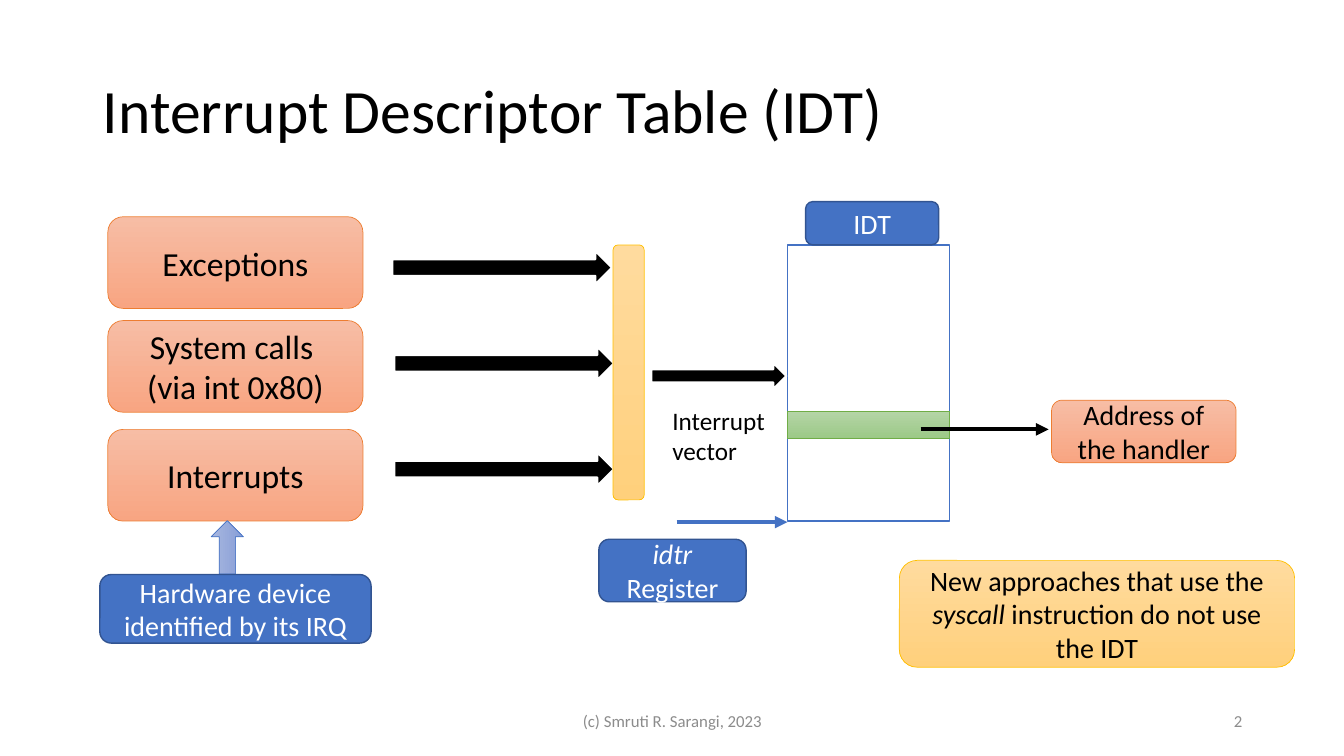
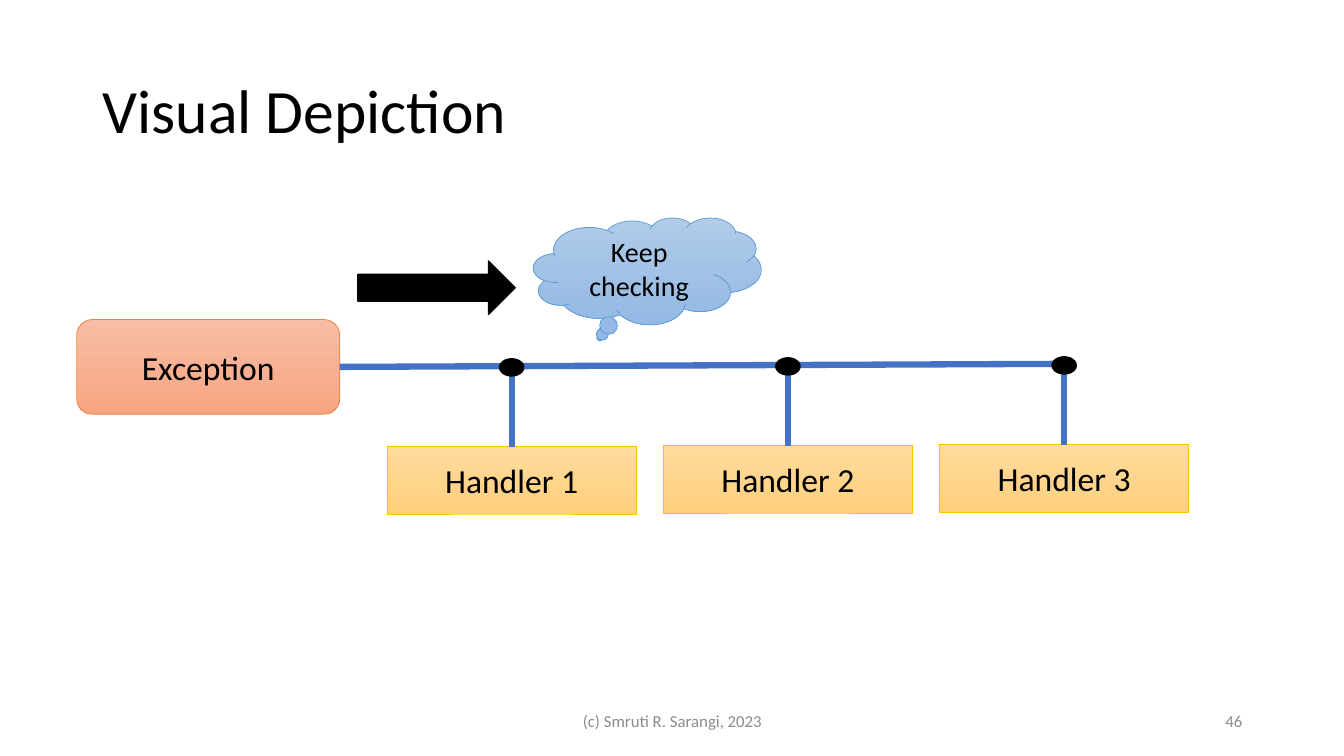
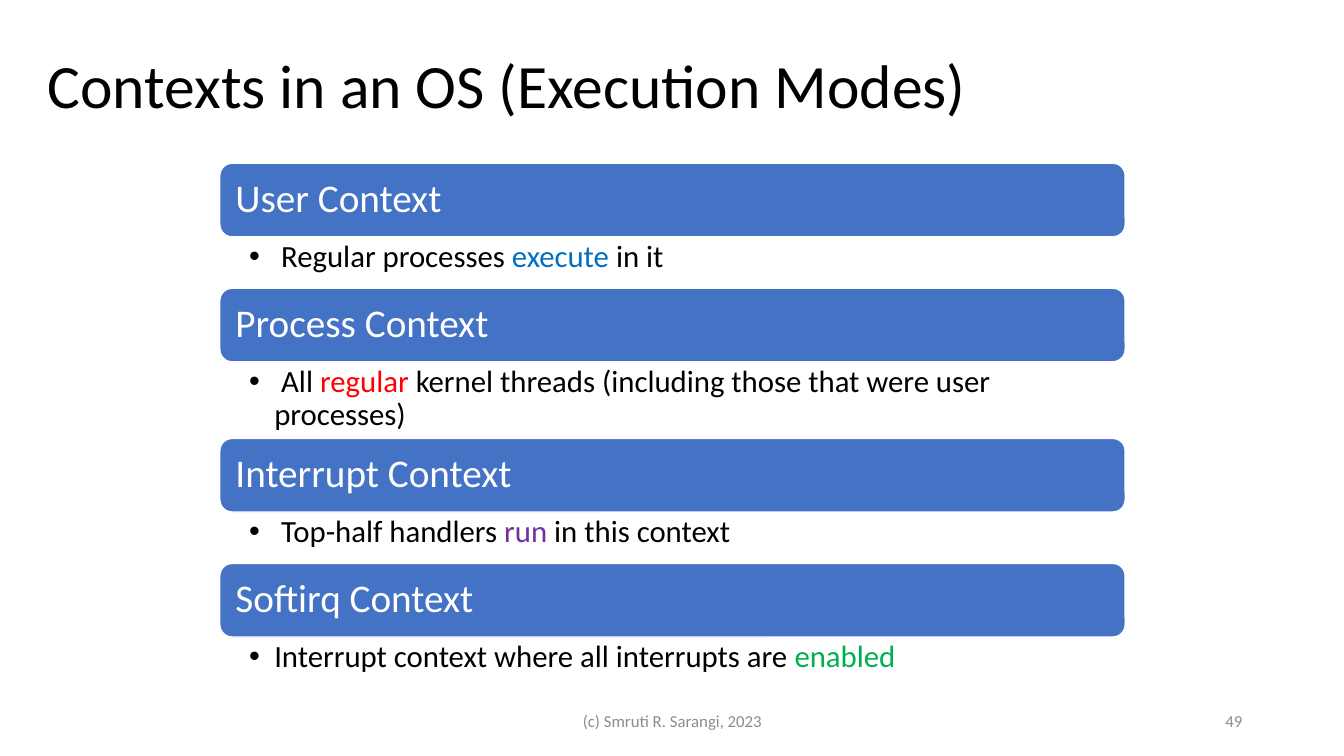
from lxml import etree
from pptx import Presentation
from pptx.dml.color import RGBColor
from pptx.enum.shapes import MSO_CONNECTOR, MSO_SHAPE
from pptx.enum.text import MSO_ANCHOR, MSO_AUTO_SIZE, PP_ALIGN
from pptx.oxml.ns import qn
from pptx.util import Inches, Pt

FONT = "Calibri"
BLACK, WHITE, GREY, BLUE = "000000", "FFFFFF", "8C8C8C", "4472C4"
LEFT, CENTER, RIGHT = PP_ALIGN.LEFT, PP_ALIGN.CENTER, PP_ALIGN.RIGHT
TOP, MIDDLE = MSO_ANCHOR.TOP, MSO_ANCHOR.MIDDLE
RECTANGLE, ROUNDED = MSO_SHAPE.RECTANGLE, MSO_SHAPE.ROUNDED_RECTANGLE
ARROW, OVAL, CLOUD = MSO_SHAPE.RIGHT_ARROW, MSO_SHAPE.OVAL, MSO_SHAPE.CLOUD_CALLOUT
STRAIGHT, NO_FIT = MSO_CONNECTOR.STRAIGHT, MSO_AUTO_SIZE.NONE
TITLE_ONLY = 5

SOLID_BLUE = ((BLUE,), "325491", 1)
ORANGE = (("F7BDA5", "F8A582"), "ED7D31", 0.5)
GOLD = (("FFDB9E", "FFD07C"), "FFC000", 0.5)
GREEN = (("B5D5A7", "9CC987"), "70AD47", 0.5)
PERIWINKLE = (("A8B7DF", "889ED7"), BLUE, 0.5)
SKY = (("B1CBE9", "93B9E4"), "5B9BD5", 0.5)
FRAME = ((WHITE,), BLUE, 1)
BAND = ((BLUE,), WHITE, 1)
BLACK_OUTLINED = ((BLACK,), WHITE, 1.5)
SOLID_BLACK = ((BLACK,), BLACK, 1)


def rgb(value):
    """Turn a hex string into a colour."""
    return RGBColor.from_string(value)


def write(frame, paragraphs, size, color=BLACK, align=CENTER, spacing=None):
    """Write paragraphs, each a list of (text, colour or None, italic) spans."""
    for index, spans in enumerate(paragraphs):
        para = frame.add_paragraph() if index else frame.paragraphs[0]
        para.alignment = align
        if spacing:
            para.line_spacing = spacing
        for text, own_color, italic in spans:
            run = para.add_run()
            run.text = text
            run.font.name = FONT
            run.font.size = Pt(size)
            run.font.italic = italic
            run.font.color.rgb = rgb(own_color or color)


def plain(*lines):
    """Make one single-span paragraph of each line."""
    return [[(line, None, False)] for line in lines]


def add_block(page, kind, box, style, paragraphs=(), size=24, color=BLACK):
    """Add a filled and outlined shape with centred text."""
    fills, outline, width = style
    shape = page.shapes.add_shape(kind, *map(Inches, box))
    shape.shadow.inherit = False
    if len(fills) == 1:
        shape.fill.solid()
        shape.fill.fore_color.rgb = rgb(fills[0])
    else:
        shape.fill.gradient()
        shape.fill.gradient_angle = 270
        for stop, value in zip(shape.fill.gradient_stops, fills):
            stop.color.rgb = rgb(value)
    shape.line.color.rgb = rgb(outline)
    shape.line.width = Pt(width)
    write(shape.text_frame, paragraphs, size, color)
    return shape


def add_label(page, box, paragraphs, size, color=BLACK, align=LEFT,
              anchor=TOP, wrap=True, spacing=None):
    """Add a text box."""
    frame = page.shapes.add_textbox(*map(Inches, box)).text_frame
    frame.word_wrap = wrap
    frame.vertical_anchor = anchor
    write(frame, paragraphs, size, color, align, spacing)
    return frame


def add_line(page, start, end, color, width, arrow=False):
    """Add a straight line, with an arrowhead at its end if asked."""
    line = page.shapes.add_connector(STRAIGHT, *map(Inches, start + end))
    line.line.color.rgb = rgb(color)
    line.line.width = Pt(width)
    properties = line.element.spPr
    if arrow:
        head = etree.SubElement(properties.find(qn("a:ln")), qn("a:tailEnd"))
        head.set("type", "triangle")
    etree.SubElement(properties, qn("a:effectLst"))


def add_page(deck, title, number, left=0.92, top=0.4):
    """Add a slide with its title, footer and number."""
    page = deck.slides.add_slide(deck.slide_layouts[TITLE_ONLY])
    holder = page.shapes.title
    holder.left, holder.top = Inches(left), Inches(top)
    holder.width, holder.height = Inches(11.5), Inches(1.45)
    holder.text_frame.auto_size = NO_FIT
    holder.text_frame.vertical_anchor = MIDDLE
    write(holder.text_frame, plain(title), 44, align=LEFT, spacing=0.9)
    add_label(page, (4.42, 6.95, 4.5, 0.4), plain("(c) Smruti R. Sarangi, 2023"),
              12, GREY, CENTER, MIDDLE)
    add_label(page, (9.42, 6.95, 3, 0.4), plain(str(number)), 12, GREY, RIGHT, MIDDLE)
    return page


def add_sources(page, left, top):
    """Place the three interrupt sources, their arrows and the device."""
    sources = [
        (0, 2.82, 0.34, ["Exceptions"]),
        (1.03, 2.84, 1.29, ["System calls ", "(via int 0x80)"]),
        (2.11, 2.84, 2.34, ["Interrupts"]),
    ]
    for offset, arrow_left, arrow_top, lines in sources:
        add_block(page, ROUNDED, (left, top + offset, 2.53, 0.91), ORANGE, plain(*lines))
        add_block(page, ARROW, (left + arrow_left, top + arrow_top, 2.18, 0.33),
                  BLACK_OUTLINED)
    rising = add_block(page, ARROW, (left + 0.92, top + 3.12, 0.53, 0.32), PERIWINKLE)
    rising.rotation = 270
    add_block(page, ROUNDED, (left - 0.08, top + 3.55, 2.69, 0.68), SOLID_BLUE,
              plain("Hardware device identified by its IRQ"), 20, WHITE)


def add_vector(page, left, top):
    """Place the collecting bar, the vector arrow and its label."""
    add_block(page, ROUNDED, (left, top, 0.31, 2.53), GOLD)
    add_block(page, ARROW, (left + 0.38, top + 1.17, 1.34, 0.26), BLACK_OUTLINED)
    add_label(page, (left + 0.49, top + 1.54, 1.13, 0.71),
              plain("Interrupt", "vector"), 18, wrap=False)


def add_descriptor_table(page, left, top):
    """Place the table, its entry, the handler address and the register."""
    width, height = 1.61, 2.74
    add_block(page, RECTANGLE, (left, top, width, height), FRAME)
    add_block(page, ROUNDED, (left + 0.18, top - 0.43, 1.32, 0.43), SOLID_BLUE,
              plain("IDT"), 20, WHITE)
    add_block(page, RECTANGLE, (left, top + 1.65, width, 0.27), GREEN)
    add_line(page, (left + 1.32, top + 1.83), (left + 2.59, top + 1.83), BLACK, 3, True)
    add_block(page, ROUNDED, (left + 2.62, top + 1.54, 1.83, 0.62), ORANGE,
              plain("Address of the handler"), 20)
    add_line(page, (left - 1.1, top + height + 0.01), (left, top + height + 0.01),
             BLUE, 3, True)
    add_block(page, ROUNDED, (left - 1.87, top + 2.92, 1.46, 0.62), SOLID_BLUE,
              [[("idtr", None, True), (" Register", None, False)]], 20, WHITE)


def build_table_page(deck):
    """Build the interrupt descriptor table slide."""
    page = add_page(deck, "Interrupt Descriptor Table (IDT)", 2)
    add_descriptor_table(page, 7.81, 2.43)
    add_sources(page, 1.07, 2.15)
    add_vector(page, 6.08, 2.43)
    add_block(page, ROUNDED, (8.92, 5.56, 3.92, 1.06), GOLD,
              [[("New approaches that use the ", None, False), ("syscall", None, True),
                (" instruction do not use the IDT", None, False)]], 20)


def add_handler(page, left, top, number):
    """Place one handler box with its stem and node."""
    width = 2.47
    middle = left + width / 2
    add_block(page, RECTANGLE, (left, top, width, 0.67), GOLD, plain(f"Handler {number}"))
    add_line(page, (middle, top - 0.76), (middle, top), BLUE, 4.5)
    add_block(page, OVAL, (middle - 0.12, top - 0.87, 0.24, 0.17), SOLID_BLACK)


def build_chain_page(deck):
    """Build the slide with the chain of handlers."""
    page = add_page(deck, "Visual Depiction", 46)
    add_block(page, ROUNDED, (0.76, 3.17, 2.61, 0.94), ORANGE, plain("Exception"))
    add_line(page, (3.37, 3.64), (10.49, 3.61), BLUE, 4.5)
    for index in range(3):
        add_handler(page, 3.84 + 2.74 * index, 4.43 - 0.01 * index, index + 1)
    add_block(page, ARROW, (3.55, 2.59, 1.56, 0.53), SOLID_BLACK)
    add_block(page, CLOUD, (5.29, 2.16, 2.26, 1.06), SKY, plain("Keep checking"), 20)


def add_context(page, box, heading, spans):
    """Place a heading band with a bulleted line below it."""
    left, top, width, height = box
    band_height = 0.73
    band = add_block(page, ROUNDED, (left, top, width, band_height), BAND,
                     plain(heading), 28, WHITE)
    band.text_frame.margin_left = Inches(0.12)
    band.text_frame.paragraphs[0].alignment = LEFT
    band.text_frame.paragraphs[0].line_spacing = 0.9
    frame = add_label(page, (left, top + band_height, width, height - band_height),
                      [spans], 22, spacing=0.9)
    frame.margin_left, frame.margin_right = Inches(0.29), Inches(0.22)
    frame.margin_top = frame.margin_bottom = Inches(0.04)
    properties = frame.paragraphs[0]._p.get_or_add_pPr()
    properties.set("marL", str(Inches(0.25)))
    properties.set("indent", str(Inches(-0.25)))
    etree.SubElement(properties, qn("a:buFont")).set("typeface", "Arial")
    etree.SubElement(properties, qn("a:buChar")).set("char", "•")


def build_contexts_page(deck):
    """Build the slide with the stack of contexts."""
    page = add_page(deck, "Contexts in an OS (Execution Modes)", 49, 0.37, 0.15)
    contexts = [
        ("User Context", 1.24, " Regular processes ", "execute", "0070C0", " in it"),
        ("Process Context", 1.49, " All ", "regular", "FF0000",
         " kernel threads (including those that were user processes)"),
        ("Interrupt Context", 1.24, " Top-half handlers ", "run", "7030A0",
         " in this context"),
        ("Softirq Context", 1.24, "Interrupt context where all interrupts are ",
         "enabled", "00B050", ""),
    ]
    top = 1.62
    for heading, height, before, word, color, after in contexts:
        spans = [(before, None, False), (word, color, False)]
        if after:
            spans.append((after, None, False))
        add_context(page, (2.18, top, 8.98, height), heading, spans)
        top += height


def main():
    """Build and save the deck."""
    deck = Presentation()
    deck.slide_width, deck.slide_height = Inches(13.33), Inches(7.5)
    build_table_page(deck)
    build_chain_page(deck)
    build_contexts_page(deck)
    deck.save("out.pptx")


if __name__ == "__main__":
    main()
